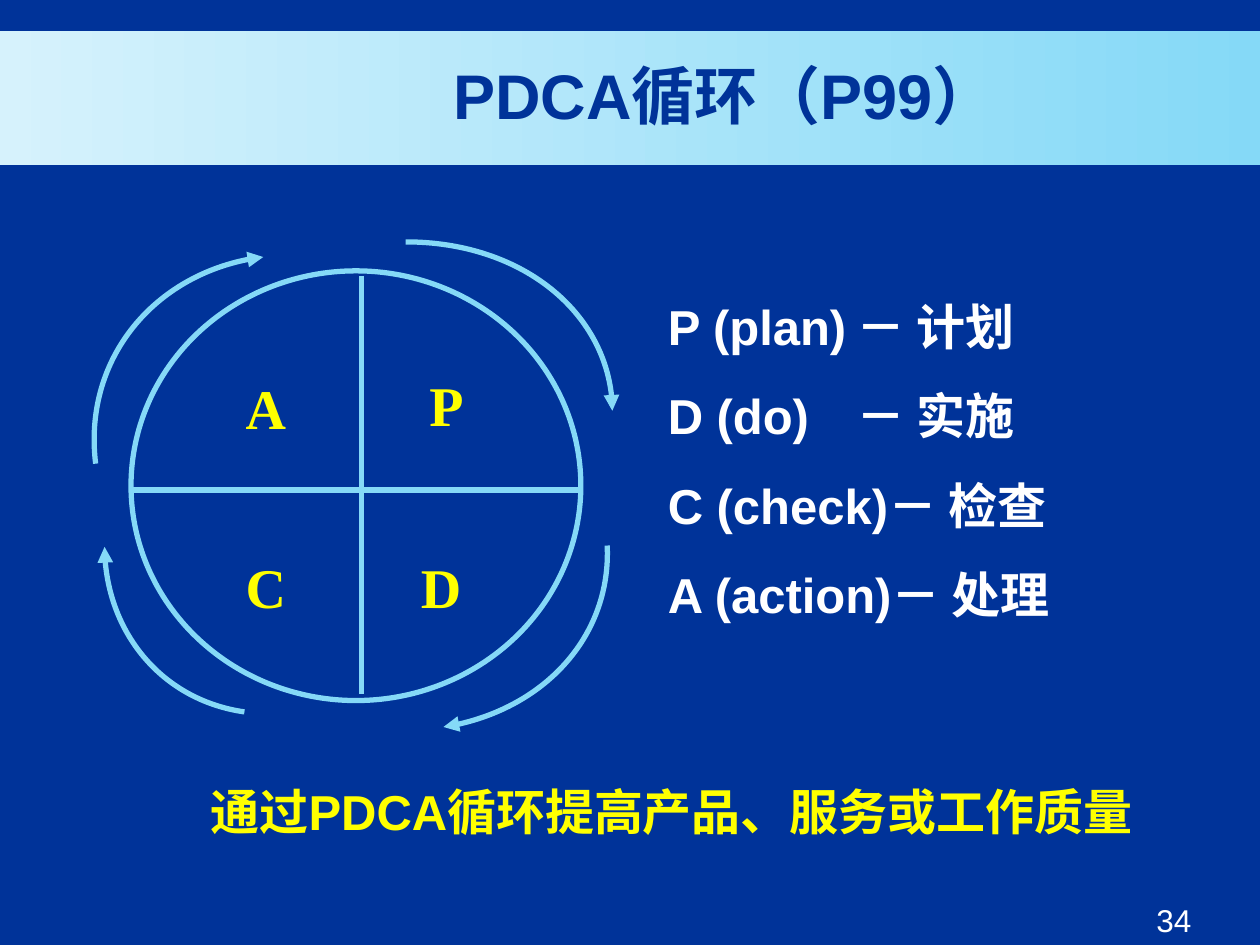
from dataclasses import dataclass

from pptx import Presentation
from pptx.dml.color import RGBColor
from pptx.enum.shapes import MSO_CONNECTOR, MSO_SHAPE
from pptx.enum.text import MSO_ANCHOR, MSO_AUTO_SIZE, PP_ALIGN
from pptx.oxml.ns import qn
from pptx.util import Inches, Pt
from lxml.etree import SubElement

NAVY, SKY, PALE = "003399", "85D9F7", "D6F2FC"
YELLOW, WHITE = "FFFF00", "FFFFFF"
Point = tuple[float, float]


@dataclass
class Quadrant:
    letter: str
    left: float
    top: float
    width: float = 0.52


@dataclass
class Arc:
    """A cubic curve: start, two control points, end with an arrowhead."""
    points: list[Point]


QUADRANTS = [
    Quadrant("P", 3.31, 2.89, 0.47),
    Quadrant("C", 1.85, 4.33),
    Quadrant("A", 1.85, 2.91),
    Quadrant("D", 3.24, 4.33),
]
ARCS = [
    Arc([(4.82, 4.33), (4.85, 5.03), (4.3, 5.65), (3.52, 5.77)]),
    Arc([(1.94, 5.65), (1.31, 5.56), (0.83, 5), (0.83, 4.34)]),
    Arc([(3.22, 1.92), (4.13, 1.92), (4.86, 2.52), (4.86, 3.26)]),
    Arc([(0.76, 3.68), (0.66, 2.87), (1.25, 2.14), (2.09, 2.04)]),
]
STEPS = ["P (plan)\t－ 计划", "D (do)\t－ 实施", "C (check)－ 检查", "A (action)－ 处理"]


def color(value: str) -> RGBColor:
    return RGBColor.from_string(value)


def apply(target, formats: dict) -> None:
    for name, value in formats.items():
        setattr(target, name, value)


def place(shape, left: float, top: float, width: float, height: float) -> None:
    apply(shape, {"left": Inches(left), "top": Inches(top),
                  "width": Inches(width), "height": Inches(height)})


def write(shape, lines: list[str], size: int, fill: str, align=PP_ALIGN.CENTER,
          face: str = "Arial", bold: bool = True, wrap: bool = True,
          anchor=MSO_ANCHOR.MIDDLE, gap: float = 0) -> None:
    frame = shape.text_frame
    apply(frame, {"word_wrap": wrap, "vertical_anchor": anchor,
                  "auto_size": MSO_AUTO_SIZE.NONE})
    for index, line in enumerate(lines):
        para = frame.add_paragraph() if index else frame.paragraphs[0]
        apply(para, {"alignment": align, "space_before": Pt(gap if index else 0)})
        span = para.add_run()
        span.text = line
        apply(span.font, {"name": face, "size": Pt(size), "bold": bold})
        span.font.color.rgb = color(fill)


def add_text(page, bounds: tuple, text: str, size: int, fill: str, **formats):
    box = page.shapes.add_textbox(*map(Inches, bounds))
    write(box, [text], size, fill, **formats)


def outline(shape) -> None:
    shape.line.color.rgb = color(SKY)
    shape.line.width = Pt(3)


def add_spoke(page, start: Point, end: Point) -> None:
    spoke = page.shapes.add_connector(
        MSO_CONNECTOR.STRAIGHT, *map(Inches, start + end))
    outline(spoke)
    SubElement(spoke._element.spPr, qn("a:effectLst"))


def add_arc(page, arc: Arc) -> None:
    start, *rest = [(Inches(x), Inches(y)) for x, y in arc.points]
    builder = page.shapes.build_freeform(*start)
    builder.add_line_segments(rest, close=False)
    shape = builder.convert_to_shape()
    shape.shadow.inherit = False
    shape.fill.background()
    outline(shape)
    # Turn the three straight segments into one cubic curve
    outline_path = next(shape._element.iter(qn("a:path")))
    curve = SubElement(outline_path, qn("a:cubicBezTo"))
    for segment in outline_path.findall(qn("a:lnTo")):
        curve.append(segment[0])
        outline_path.remove(segment)
    SubElement(shape.line._get_or_add_ln(), qn("a:tailEnd"), type="triangle")


def add_band(page) -> None:
    band = page.shapes.add_shape(MSO_SHAPE.RECTANGLE, 0, Inches(0.25),
                                 Inches(10), Inches(1.06))
    band.shadow.inherit = False
    band.line.fill.background()
    band.fill.gradient()
    band.fill.gradient_angle = 0
    for stop, value in zip(band.fill.gradient_stops, (PALE, SKY)):
        stop.color.rgb = color(value)
    page.shapes._spTree.insert(2, band._element)  # behind the title


def add_steps(body) -> None:
    place(body, 5.2, 2.3, 4.14, 2.7)
    write(body, STEPS, 28, WHITE, align=PP_ALIGN.LEFT, gap=17.5)
    for para in body.text_frame.paragraphs:
        properties = para._p.get_or_add_pPr()
        apply_indent = {"marL": "0", "indent": "0"}
        for name, value in apply_indent.items():
            properties.set(name, value)
        SubElement(properties, qn("a:buNone"))
        tabs = SubElement(properties, qn("a:tabLst"))
        SubElement(tabs, qn("a:tab"), pos=str(Inches(1.74)), algn="l")


def main() -> None:
    deck = Presentation()
    apply(deck, {"slide_width": Inches(10), "slide_height": Inches(7.5)})
    page = deck.slides.add_slide(deck.slide_layouts[1])
    page.background.fill.solid()
    page.background.fill.fore_color.rgb = color(NAVY)

    # Title band and title
    add_band(page)
    title, body = page.placeholders
    place(title, 2, 0.25, 7.5, 1)
    write(title, ["PDCA循环（P99）"], 36, NAVY)

    # Wheel with four quadrants
    wheel = page.shapes.add_shape(
        MSO_SHAPE.OVAL, *map(Inches, (1.04, 2.15, 3.57, 3.41)))
    wheel.shadow.inherit = False
    wheel.fill.background()
    outline(wheel)
    add_spoke(page, (1.04, 3.89), (4.61, 3.89))
    add_spoke(page, (2.87, 2.19), (2.87, 5.51))
    for item in QUADRANTS:
        add_text(page, (item.left, item.top, item.width, 0.64), item.letter,
                 32, YELLOW, face="Times New Roman", wrap=False)

    # Arrows around the wheel
    for arc in ARCS:
        add_arc(page, arc)

    # Meaning of each letter, conclusion and page number
    add_steps(body)
    add_text(page, (1.33, 6.15, 8, 0.57), "通过PDCA循环提高产品、服务或工作质量",
             28, YELLOW)
    add_text(page, (9.08, 7.1, 0.92, 0.4), "34", 18, WHITE, bold=False,
             align=PP_ALIGN.LEFT, anchor=MSO_ANCHOR.TOP)

    deck.save("out.pptx")


if __name__ == "__main__":
    main()
